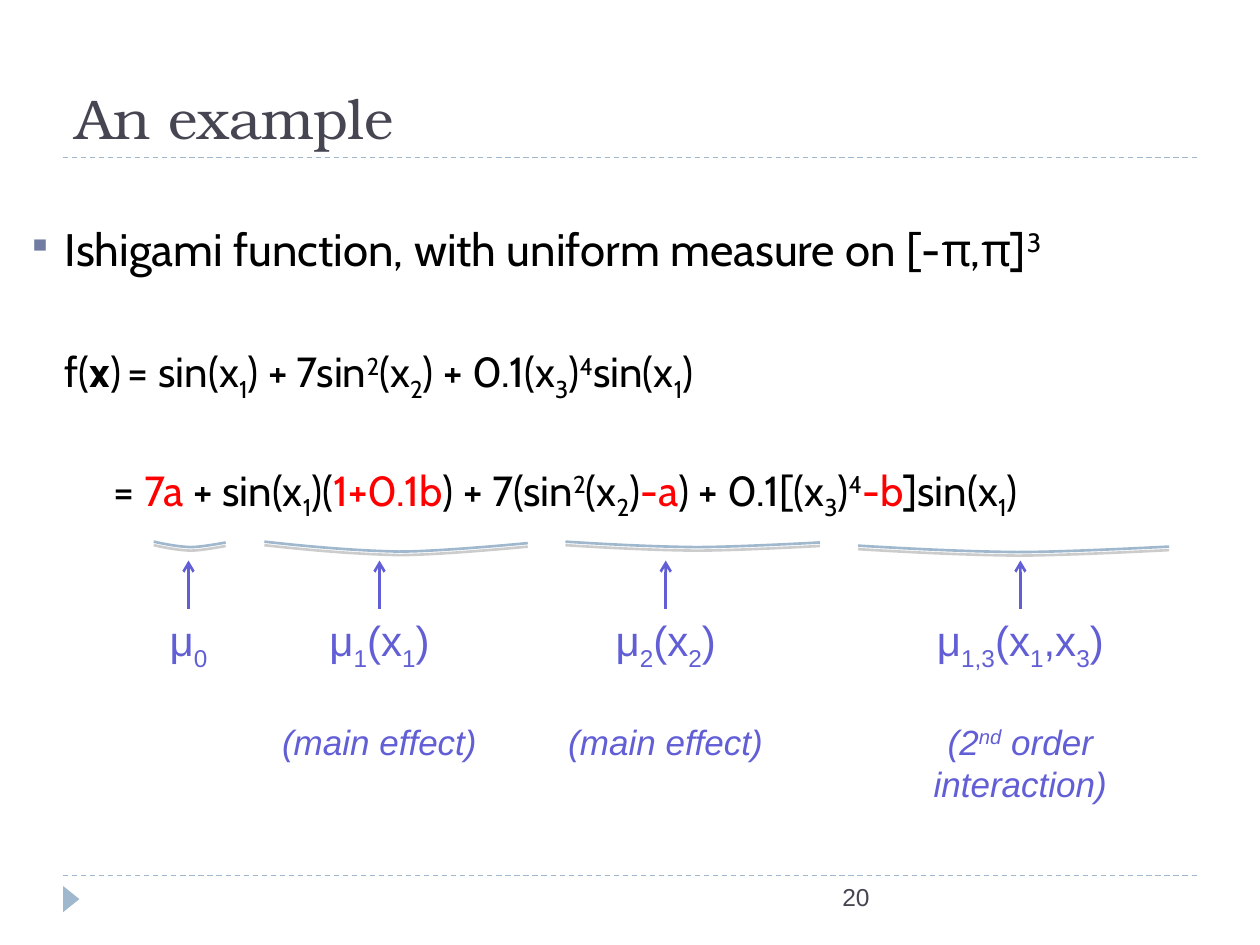
"""Build a slide that decomposes the Ishigami function into its effects."""
from lxml.etree import SubElement
from pptx import Presentation
from pptx.dml.color import RGBColor
from pptx.enum.dml import MSO_LINE_DASH_STYLE as Dash
from pptx.enum.shapes import MSO_CONNECTOR as Connector, MSO_SHAPE as Preset
from pptx.enum.text import MSO_ANCHOR as Anchor, PP_ALIGN as Align
from pptx.oxml.ns import qn
from pptx.util import Cm, Pt

THEME = {
    "ink": "000000", "title": "464653", "accent": "615ED6", "red": "FF0000",
    "rule": "9FB8CD", "bullet": "727CA3", "shadow": "808080",
    "title_font": "TeX Gyre Bonum", "body_font": "Cabin", "label_font": "Arial",
    "title_size": 32, "lead_size": 26, "formula_size": 24,
    "effect_size": 20, "number_size": 14,
}
TITLE = "An example"
PAGE_NUMBER = "20"
LEAD = ["Ishigami function, with uniform measure on [-π,π]", ("3", "sup")]
FUNCTION = [
    "f(", ("x", "bold"), ")\t= sin(x", ("1", "sub"), ") + 7sin", ("2", "sup"),
    "(x", ("2", "sub"), ") + 0.1(x", ("3", "sub"), ")", ("4", "sup"),
    "sin(x", ("1", "sub"), ")",
]
DECOMPOSITION = [
    "= ", ("7a", "red"), " + sin(x", ("1", "sub"), ")(", ("1+0.1b", "red"),
    ") + 7(sin", ("2", "sup"), "(x", ("2", "sub"), ")", ("-a", "red"),
    ") + 0.1[(x", ("3", "sub"), ")", ("4", "sup"), ("-b", "red"),
    "]sin(x", ("1", "sub"), ")",
]
BODY = [
    {"spans": LEAD, "size": "lead_size", "margin": 0.76, "indent": -0.76, "before": 0},
    {"spans": FUNCTION, "size": "formula_size", "margin": 0.76, "indent": 0, "before": 40.4},
    {"spans": DECOMPOSITION, "size": "formula_size", "margin": 1.74, "indent": 0, "before": 38.2},
]
TERMS = [
    {"symbol": ["μ", ("0", "sub")], "effect": [],
     "center": 3.8, "width": 1.35, "height": 1.42, "brace": (3.1, 10.92, 1.45, 0.11)},
    {"symbol": ["μ", ("1", "sub"), "(x", ("1", "sub"), ")"], "effect": ["(main effect)"],
     "center": 7.65, "width": 5.03, "height": 3.28, "brace": (5.33, 10.92, 5.31, 0.2)},
    {"symbol": ["μ", ("2", "sub"), "(x", ("2", "sub"), ")"], "effect": ["(main effect)"],
     "center": 13.42, "width": 5.41, "height": 3.28, "brace": (11.4, 10.92, 5.13, 0.11)},
    {"symbol": ["μ", ("1,3", "sub"), "(x", ("1", "sub"), ",x", ("3", "sub"), ")"],
     "effect": ["(2", ("nd", "sup"), " order interaction)"],
     "center": 20.57, "width": 6.96, "height": 4.11, "brace": (17.3, 11, 6.27, 0.13)},
]
BASELINES = {"sup": "30000", "sub": "-25000"}
BRACE_CURVE = [(0, 0), (0.17, 0.5), (0.34, 0.9), (0.51, 1), (0.67, 1), (1, 0.15), (1, 0.15)]
LABEL_TOP, ARROW_TIP = 12.27, 11.3
RULE_LEFT, RULE_RIGHT, RULE_TOPS = 1.27, 24.13, (17.65, 3.18)


def color(name):
    return RGBColor.from_string(THEME[name])


def add_spans(para, spans, size, font, ink, italic=False):
    for item in spans:
        text, style = (item, "") if isinstance(item, str) else item
        span = para.add_run()
        span.text = text
        span.font.name, span.font.size = THEME[font], Pt(THEME[size])
        span.font.color.rgb = color("red" if style == "red" else ink)
        span.font.bold, span.font.italic = style == "bold", italic
        if style in BASELINES:
            span.font._element.set("baseline", BASELINES[style])


def add_box(slide, left, top, width, height):
    box = slide.shapes.add_textbox(Cm(left), Cm(top), Cm(width), Cm(height))
    box.text_frame.word_wrap = True
    return box


def add_line(slide, start, end, ink, weight):
    line = slide.shapes.add_connector(Connector.STRAIGHT, *map(Cm, start + end))
    line.line.color.rgb, line.line.width = color(ink), Pt(weight)
    SubElement(line._element.spPr, qn("a:effectLst"))
    return line


def add_frame(slide):
    for top in RULE_TOPS:
        rule = add_line(slide, (RULE_LEFT, top), (RULE_RIGHT, top), "rule", 0.75)
        rule.line.dash_style = Dash.DASH
    marker = slide.shapes.add_shape(
        Preset.ISOSCELES_TRIANGLE, Cm(1.17), Cm(17.96), Cm(0.53), Cm(0.33))
    marker.rotation, marker.shadow.inherit = 90, False
    marker.fill.solid()
    marker.fill.fore_color.rgb = color("rule")
    marker.line.fill.background()

    title = slide.shapes.title
    title.left, title.top, title.width, title.height = Cm(1.27), Cm(0.43), Cm(22.86), Cm(2.74)
    title.text_frame.text = TITLE
    title.text_frame.vertical_anchor = Anchor.BOTTOM
    para = title.text_frame.paragraphs[0]
    para.alignment = Align.LEFT
    para.font.name, para.font.size = THEME["title_font"], Pt(THEME["title_size"])
    para.font.color.rgb = color("title")

    number = add_box(slide, 8.05, 17.65, 9.73, 1.02).text_frame.paragraphs[0]
    number.alignment = Align.RIGHT
    add_spans(number, [PAGE_NUMBER], "number_size", "label_font", "title")


def add_bullet(props):
    SubElement(SubElement(props, qn("a:buClr")), qn("a:srgbClr"), val=THEME["bullet"])
    SubElement(props, qn("a:buSzPct"), val="76000")
    SubElement(props, qn("a:buChar"), char="▪")


def add_body(slide):
    frame = add_box(slide, 0.3, 4.45, 24.13, 7.42).text_frame
    for index, row in enumerate(BODY):
        para = frame.add_paragraph() if index else frame.paragraphs[0]
        para.line_spacing, para.space_before = 0.9, Pt(row["before"])
        props = para._p.get_or_add_pPr()
        props.set("marL", str(Cm(row["margin"])))
        props.set("indent", str(Cm(row["indent"])))
        if row["indent"]:
            add_bullet(props)
        SubElement(SubElement(props, qn("a:tabLst")), qn("a:tab"), pos=str(Cm(2.54)), algn="l")
        add_spans(para, row["spans"], row["size"], "body_font", "ink")


def add_brace(slide, left, top, width, depth):
    start, *points = [(Cm(left + x * width), Cm(top + y * depth)) for x, y in BRACE_CURVE]
    builder = slide.shapes.build_freeform(*start)
    builder.add_line_segments(points, close=False)
    brace = builder.convert_to_shape()
    brace.fill.background()
    brace.line.color.rgb, brace.line.width = color("rule"), Pt(1.5)
    brace.shadow.inherit = False

    outline = next(brace._element.iter(qn("a:path")))
    segments = outline.findall(qn("a:lnTo"))
    for first in range(0, len(segments), 3):
        curve = SubElement(outline, qn("a:cubicBezTo"))
        for segment in segments[first:first + 3]:
            curve.append(segment[0])
            outline.remove(segment)

    effects = brace._element.spPr.find(qn("a:effectLst"))
    shadow = SubElement(effects, qn("a:outerShdw"), blurRad="0", dist=str(Pt(2)), dir="5400000")
    tint = SubElement(shadow, qn("a:srgbClr"), val=THEME["shadow"])
    SubElement(tint, qn("a:alpha"), val="40000")


def add_term(slide, term):
    add_brace(slide, *term["brace"])
    center, width = term["center"], term["width"]
    label = add_box(slide, center - width / 2, LABEL_TOP, width, term["height"])
    symbol = label.text_frame.paragraphs[0]
    symbol.alignment = Align.CENTER
    add_spans(symbol, term["symbol"], "formula_size", "label_font", "accent")
    if term["effect"]:
        effect = label.text_frame.add_paragraph()
        effect.alignment, effect.space_before = Align.CENTER, Pt(27.6)
        add_spans(effect, term["effect"], "effect_size", "label_font", "accent", italic=True)
    arrow = add_line(slide, (center, LABEL_TOP), (center, ARROW_TIP), "accent", 1.5)
    arrow.begin_connect(label, 0)
    SubElement(arrow.line._get_or_add_ln(), qn("a:tailEnd"), type="arrow")


def main():
    deck = Presentation()
    deck.slide_width, deck.slide_height = Cm(25.4), Cm(19.05)
    slide = deck.slides.add_slide(deck.slide_layouts[5])
    add_frame(slide)
    add_body(slide)
    for term in TERMS:
        add_term(slide, term)
    deck.save("out.pptx")


if __name__ == "__main__":
    main()
